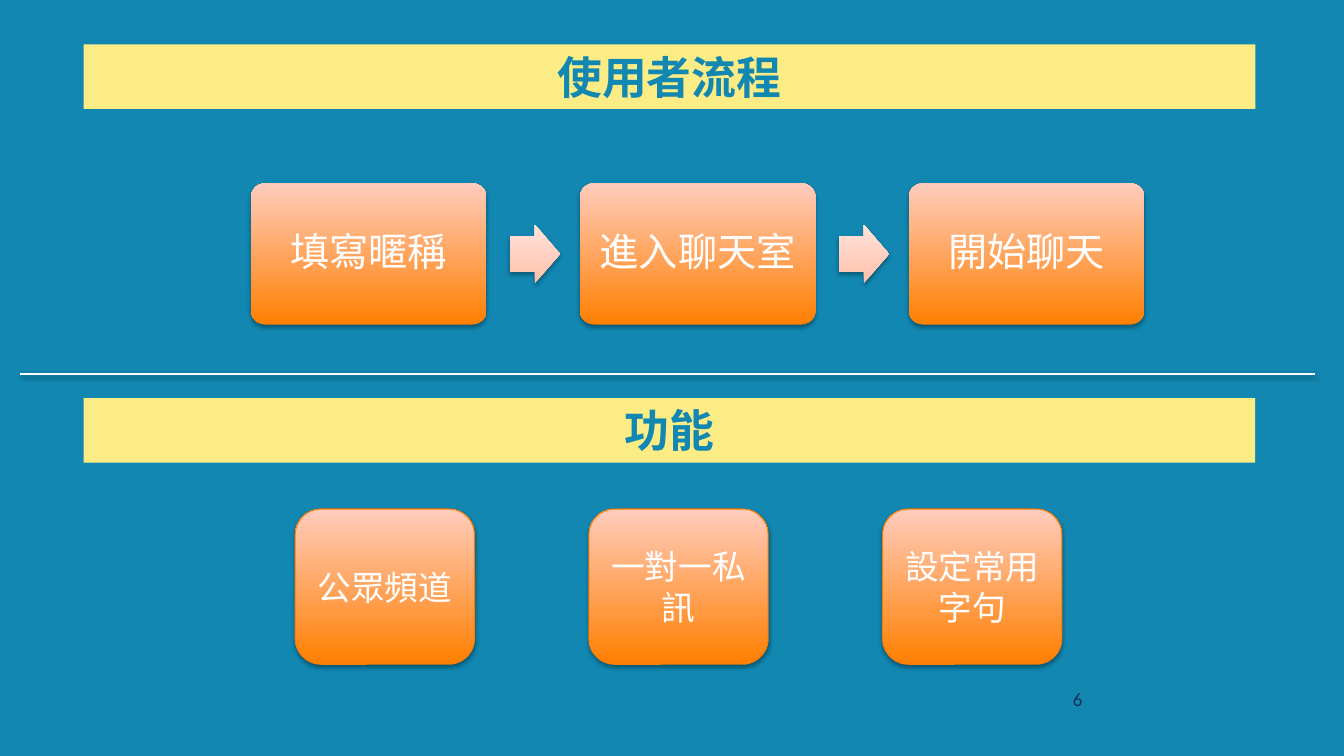
"""Build a slide with the user flow of a chat room above its features."""
from lxml.etree import SubElement
from pptx import Presentation
from pptx.dml.color import RGBColor
from pptx.enum.shapes import MSO_CONNECTOR, MSO_SHAPE
from pptx.enum.text import MSO_ANCHOR, PP_ALIGN
from pptx.oxml.ns import qn
from pptx.util import Inches, Pt

FLOW_TITLE = "使用者流程"
STEPS = ["填寫暱稱", "進入聊天室", "開始聊天"]
FEATURE_TITLE = "功能"
FEATURES = ["公眾頻道", "一對一私訊", "設定常用字句"]
PAGE_NUMBER = "6"

COLORS = {
    "blue": "1187B1", "yellow": "FBEC85", "white": "FFFFFF", "navy": "103154",
    "orange": "FF7F01", "pink": "FFCCBD", "edge": "FA7C00",
    "arrow_bottom": "FFC0AB", "arrow_top": "FFE2DA", "shadow": "000000",
}
BANNER_LEFT, BANNER_WIDTH, BANNER_HEIGHT = 0.83, 11.63, 0.64
STEP_LEFT, STEP_TOP, STEP_WIDTH, STEP_HEIGHT, STEP_PITCH = 2.49, 1.82, 2.34, 1.4, 3.265
ARROW_LEFT, ARROW_WIDTH, ARROW_HEIGHT = 5.06, 0.5, 0.58
FEATURE_LEFT, FEATURE_TOP, FEATURE_WIDTH, FEATURE_HEIGHT, FEATURE_PITCH = 2.93, 5.05, 1.78, 1.54, 2.915


def color(name):
    return RGBColor.from_string(COLORS[name])


def write(shape, text, size, ink="white", bold=False, align=PP_ALIGN.CENTER,
          anchor=MSO_ANCHOR.MIDDLE, spacing=1.0):
    frame = shape.text_frame
    frame.word_wrap = True
    frame.vertical_anchor = anchor
    para = frame.paragraphs[0]
    para.alignment = align
    para.line_spacing = spacing
    span = para.add_run()
    span.text = text
    span.font.name = "Calibri"
    span.font.size = Pt(size)
    span.font.bold = bold
    span.font.color.rgb = color(ink)


def cast_shadow(properties, blur=3.1, distance=1.8, opacity=35):
    effects = properties.find(qn("a:effectLst"))
    if effects is None:
        effects = SubElement(properties, qn("a:effectLst"))
    shadow = SubElement(effects, qn("a:outerShdw"), blurRad=str(Pt(blur)),
                        dist=str(Pt(distance)), dir="5400000", rotWithShape="0")
    ink = SubElement(shadow, qn("a:srgbClr"), val=COLORS["shadow"])
    SubElement(ink, qn("a:alpha"), val=str(opacity * 1000))


def add_raised(page, kind, left, top, width, height, bottom="orange", upper="pink",
               edge=None, adjustments=()):
    shape = page.shapes.add_shape(kind, Inches(left), Inches(top), Inches(width), Inches(height))
    for index, value in enumerate(adjustments):
        shape.adjustments[index] = value
    shape.fill.gradient()
    shape.fill.gradient_angle = 90
    for stop, name, position in zip(shape.fill.gradient_stops, (bottom, upper), (0, 1)):
        stop.color.rgb = color(name)
        stop.position = position
    if edge:
        shape.line.color.rgb = color(edge)
        shape.line.width = Pt(0.75)
    else:
        shape.line.fill.background()
    shape.shadow.inherit = False
    cast_shadow(shape.element.spPr)
    return shape


def format_banner(banner, text, top):
    banner.left, banner.top = Inches(BANNER_LEFT), Inches(top)
    banner.width, banner.height = Inches(BANNER_WIDTH), Inches(BANNER_HEIGHT)
    banner.fill.solid()
    banner.fill.fore_color.rgb = color("yellow")
    banner.line.fill.background()
    write(banner, text, 32, ink="blue", bold=True, anchor=MSO_ANCHOR.TOP)


deck = Presentation()
deck.slide_width, deck.slide_height = Inches(13.34), Inches(7.5)
page = deck.slides.add_slide(deck.slide_layouts[5])
page.background.fill.solid()
page.background.fill.fore_color.rgb = color("blue")

format_banner(page.shapes.title, FLOW_TITLE, 0.44)

for index, step in enumerate(STEPS):
    offset = index * STEP_PITCH
    box = add_raised(page, MSO_SHAPE.ROUNDED_RECTANGLE, STEP_LEFT + offset, STEP_TOP,
                     STEP_WIDTH, STEP_HEIGHT, adjustments=[0.1])
    write(box, step, 28, spacing=0.9)
    if index < len(STEPS) - 1:
        add_raised(page, MSO_SHAPE.RIGHT_ARROW, ARROW_LEFT + offset,
                   STEP_TOP + (STEP_HEIGHT - ARROW_HEIGHT) / 2, ARROW_WIDTH, ARROW_HEIGHT,
                   bottom="arrow_bottom", upper="arrow_top", adjustments=[0.6, 0.5])

divider = page.shapes.add_connector(MSO_CONNECTOR.STRAIGHT, Inches(0.2), Inches(3.71),
                                    Inches(13.05), Inches(3.71))
divider.line.color.rgb = color("white")
divider.line.width = Pt(2)
cast_shadow(divider.element.spPr, distance=1.6, opacity=38)

feature_banner = page.shapes.add_shape(MSO_SHAPE.RECTANGLE, 0, 0, 0, 0)
feature_banner.shadow.inherit = False
format_banner(feature_banner, FEATURE_TITLE, 3.95)

for index, feature in enumerate(FEATURES):
    box = add_raised(page, MSO_SHAPE.ROUNDED_RECTANGLE, FEATURE_LEFT + index * FEATURE_PITCH,
                     FEATURE_TOP, FEATURE_WIDTH, FEATURE_HEIGHT, edge="edge")
    write(box, feature, 24)

number_box = page.shapes.add_textbox(Inches(10.55), Inches(6.77), Inches(0.41), Inches(0.4))
write(number_box, PAGE_NUMBER, 13.5, ink="navy", align=PP_ALIGN.LEFT, anchor=MSO_ANCHOR.TOP)

deck.save("out.pptx")
